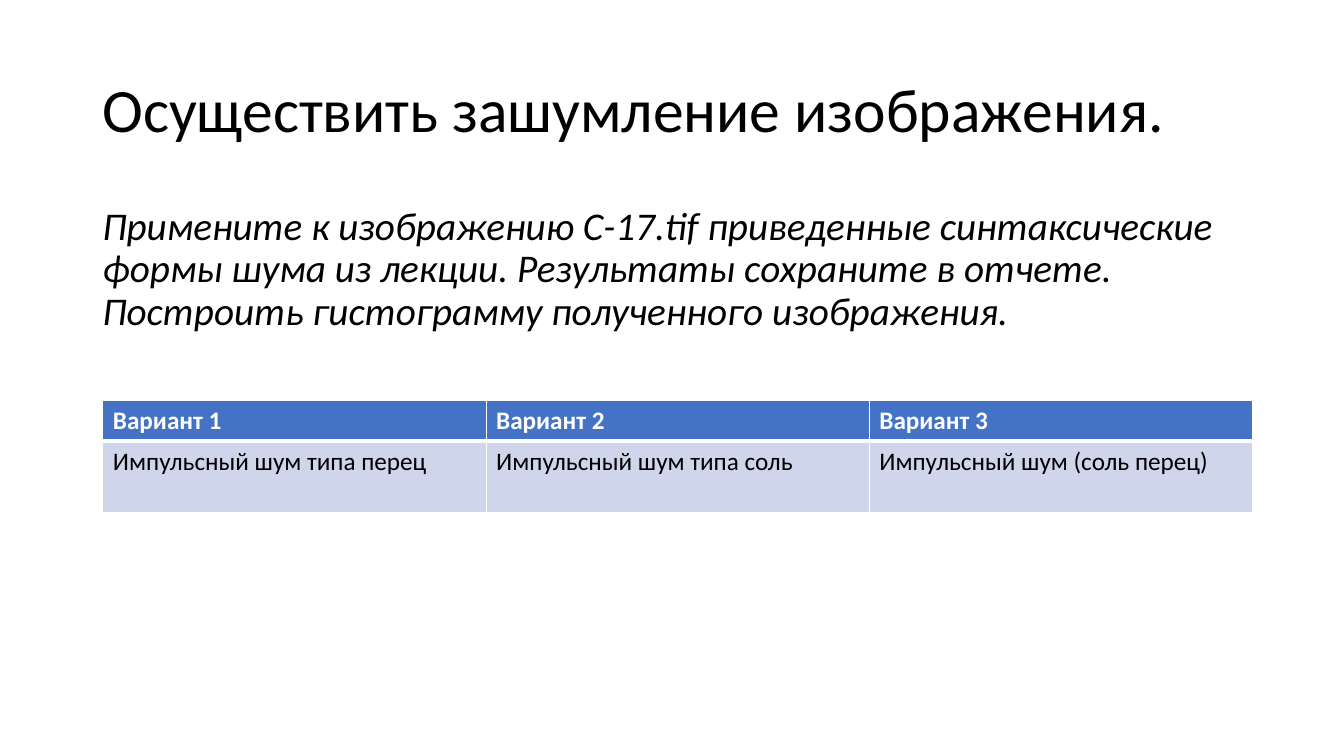
from dataclasses import dataclass

from lxml.etree import SubElement
from pptx import Presentation
from pptx.dml.color import RGBColor
from pptx.enum.text import MSO_ANCHOR
from pptx.oxml.ns import qn
from pptx.util import Emu, Pt

EMU_PER_PX = 9525  # 96 px to the inch
FONT = "Calibri"
BLACK, WHITE = "000000", "FFFFFF"


@dataclass(frozen=True)
class TextBlock:
    text: str
    top: int
    height: int
    size: int
    anchor: MSO_ANCHOR
    italic: bool = False


@dataclass(frozen=True)
class RowStyle:
    texts: tuple[str, ...]
    height: int
    fill: str
    color: str
    bold: bool
    top_border: int
    bottom_border: int


TEXT_LEFT, TEXT_WIDTH = 88, 1104
TABLE_LEFT, TABLE_TOP, COLUMN_WIDTH = 98, 381, 365

BLOCKS = (
    TextBlock("Осуществить зашумление изображения.", 38, 139, 44, MSO_ANCHOR.MIDDLE),
    TextBlock(
        "Примените к изображению С-17.tif приведенные синтаксические формы шума "
        "из лекции. Результаты сохраните в отчете. Построить гистограмму "
        "полученного изображения.",
        192, 457, 28, MSO_ANCHOR.TOP, italic=True,
    ),
)

ROWS = (
    RowStyle(("Вариант 1", "Вариант 2", "Вариант 3"),
             39, "4472C4", WHITE, True, 1, 3),
    RowStyle(("Импульсный шум типа перец", "Импульсный шум типа соль",
              "Импульсный шум (соль перец)"),
             68, "CFD5EA", BLACK, False, 3, 1),
)


def px(length: int) -> Emu:
    return Emu(length * EMU_PER_PX)


def rgb(value: str) -> RGBColor:
    return RGBColor.from_string(value)


def style_paragraph(paragraph, size: int, color: str,
                    bold: bool = False, italic: bool = False) -> None:
    font = paragraph.font
    font.name, font.size = FONT, Pt(size)
    font.bold, font.italic = bold, italic
    font.color.rgb = rgb(color)


def add_text(page, block: TextBlock) -> None:
    box = page.shapes.add_textbox(
        px(TEXT_LEFT), px(block.top), px(TEXT_WIDTH), px(block.height))
    frame = box.text_frame
    frame.word_wrap = True
    frame.vertical_anchor = block.anchor
    paragraph = frame.paragraphs[0]
    paragraph.text = block.text
    paragraph.line_spacing = 0.9
    style_paragraph(paragraph, block.size, BLACK, italic=block.italic)


def add_border(cell, side: str, width: int) -> None:
    properties = cell._tc.get_or_add_tcPr()
    line = SubElement(properties, qn(f"a:ln{side}"), w=str(Pt(width)))
    fill = SubElement(line, qn("a:solidFill"))
    SubElement(fill, qn("a:srgbClr"), val=WHITE)


def fill_cell(cell, text: str, row: RowStyle) -> None:
    # Borders come before the fill in the cell properties
    borders = {"L": 1, "R": 1, "T": row.top_border, "B": row.bottom_border}
    for side, width in borders.items():
        add_border(cell, side, width)
    cell.fill.solid()
    cell.fill.fore_color.rgb = rgb(row.fill)
    paragraph = cell.text_frame.paragraphs[0]
    paragraph.text = text
    style_paragraph(paragraph, 18, row.color, bold=row.bold)


def add_variants_table(page, rows: tuple[RowStyle, ...]) -> None:
    count = len(rows[0].texts)
    table = page.shapes.add_table(
        len(rows), count, px(TABLE_LEFT), px(TABLE_TOP),
        px(COLUMN_WIDTH * count), px(sum(row.height for row in rows))).table
    for column in table.columns:
        column.width = px(COLUMN_WIDTH)
    for row_index, row in enumerate(rows):
        table.rows[row_index].height = px(row.height)
        for column_index, text in enumerate(row.texts):
            fill_cell(table.cell(row_index, column_index), text, row)


def main() -> None:
    deck = Presentation()
    deck.slide_width, deck.slide_height = px(1280), px(720)
    page = deck.slides.add_slide(deck.slide_layouts[6])

    # Title and task
    for block in BLOCKS:
        add_text(page, block)

    # Noise variants
    add_variants_table(page, ROWS)

    deck.save("out.pptx")


if __name__ == "__main__":
    main()
